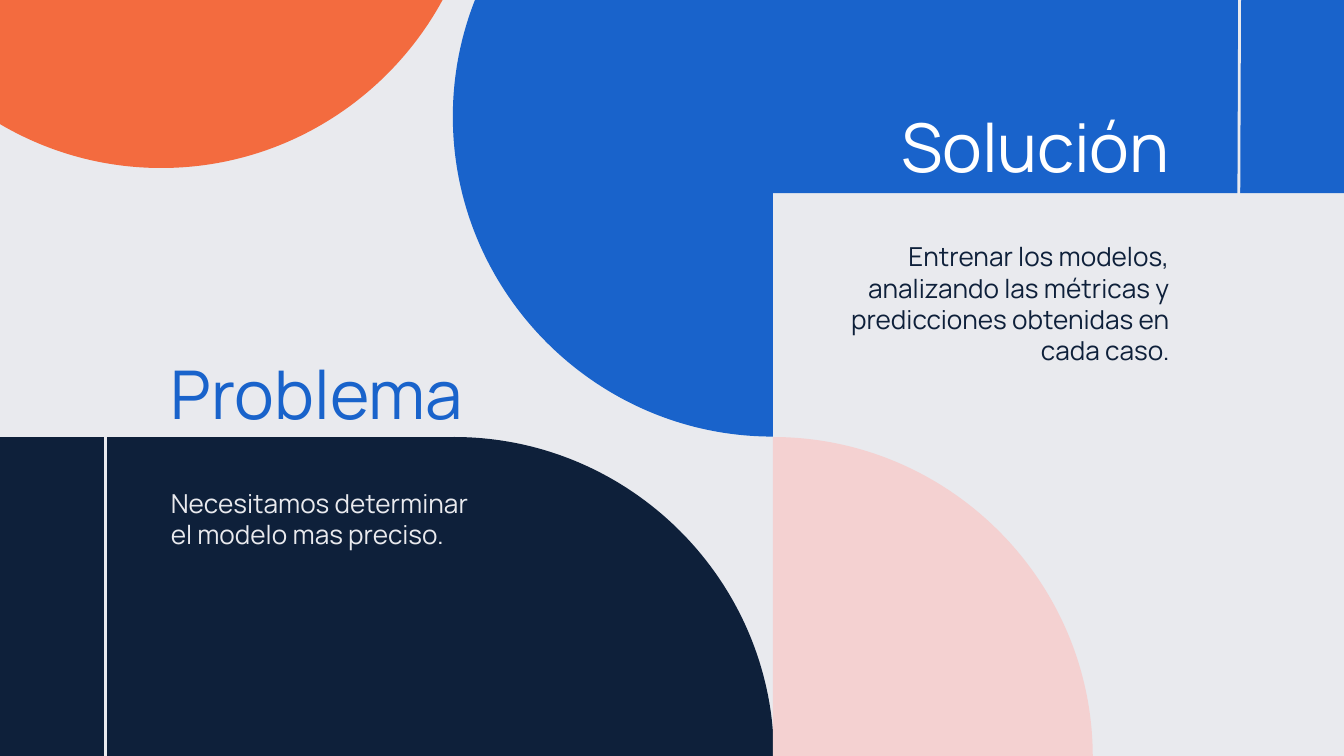
from dataclasses import dataclass
from math import cos, radians, sin

from lxml.etree import SubElement
from pptx import Presentation
from pptx.dml.color import RGBColor
from pptx.enum.shapes import MSO_CONNECTOR, MSO_SHAPE
from pptx.enum.text import MSO_ANCHOR, PP_ALIGN
from pptx.oxml.ns import qn
from pptx.shapes.base import BaseShape
from pptx.slide import Slide
from pptx.util import Pt

NAVY = "0E203A"
BLUE = "1963CB"
ORANGE = "F36B3F"
PINK = "F4D1D1"
GREY = "E9EAEE"
WHITE = "FFFFFF"
FONT = "Manrope"
RADIUS = 171.4
CURVE_RATIO = 0.55
TEXT_WIDTH = 186.6
LEFT_COLUMN = 84.4
RIGHT_COLUMN = 447
INSET = 7.2


@dataclass
class Block:
    left: float
    top: float
    width: float
    height: float
    color: str


@dataclass
class HalfDisc:
    center_x: float
    center_y: float
    start_angle: int
    color: str


@dataclass
class Label:
    text: str
    left: float
    top: float
    height: float
    size: float
    color: str
    alignment: PP_ALIGN


@dataclass
class Rule:
    start_x: float
    start_y: float
    end_x: float
    end_y: float


def rgb(color: str) -> RGBColor:
    return RGBColor.from_string(color)


def paint(shape: BaseShape, color: str) -> None:
    shape.shadow.inherit = False
    shape.fill.solid()
    shape.fill.fore_color.rgb = rgb(color)
    shape.line.fill.background()


def draw_block(slide: Slide, block: Block) -> None:
    shape = slide.shapes.add_shape(
        MSO_SHAPE.RECTANGLE,
        Pt(block.left), Pt(block.top), Pt(block.width), Pt(block.height),
    )
    paint(shape, block.color)


def round_corners(shape: BaseShape) -> None:
    path = next(shape._element.iter(qn("a:path")))
    points = [(int(p.get("x")), int(p.get("y"))) for p in path.iter(qn("a:pt"))]
    center = [(a + b) / 2 for a, b in zip(points[0], points[2])]
    lines = path.findall(qn("a:lnTo"))
    for line, start, end in zip(lines, points, points[1:]):
        leaving = [s + CURVE_RATIO * (e - c) for s, e, c in zip(start, end, center)]
        arriving = [e + CURVE_RATIO * (s - c) for s, e, c in zip(start, end, center)]
        curve = SubElement(path, qn("a:cubicBezTo"))
        for x, y in (leaving, arriving, end):
            SubElement(curve, qn("a:pt"), x=str(round(x)), y=str(round(y)))
        path.replace(line, curve)


def draw_half_disc(slide: Slide, disc: HalfDisc) -> None:
    angles = [radians(disc.start_angle + turn) for turn in (0, 90, 180)]
    points = [
        (
            Pt(disc.center_x + RADIUS * cos(angle)),
            Pt(disc.center_y + RADIUS * sin(angle)),
        )
        for angle in angles
    ]
    builder = slide.shapes.build_freeform(*points[0])
    builder.add_line_segments(points[1:], close=False)
    shape = builder.convert_to_shape()
    round_corners(shape)
    paint(shape, disc.color)


def draw_label(slide: Slide, label: Label) -> None:
    shape = slide.shapes.add_textbox(
        Pt(label.left), Pt(label.top), Pt(TEXT_WIDTH), Pt(label.height)
    )
    text_frame = shape.text_frame
    text_frame.word_wrap = True
    text_frame.vertical_anchor = MSO_ANCHOR.TOP
    text_frame.margin_left = text_frame.margin_right = Pt(INSET)
    text_frame.margin_top = text_frame.margin_bottom = Pt(INSET)
    text_frame.text = label.text
    paragraph = text_frame.paragraphs[0]
    paragraph.alignment = label.alignment
    font = paragraph.runs[0].font
    font.name = FONT
    font.size = Pt(label.size)
    font.color.rgb = rgb(label.color)


def draw_rule(slide: Slide, rule: Rule) -> None:
    connector = slide.shapes.add_connector(
        MSO_CONNECTOR.STRAIGHT,
        Pt(rule.start_x), Pt(rule.start_y), Pt(rule.end_x), Pt(rule.end_y),
    )
    connector.line.color.rgb = rgb(GREY)
    connector.line.width = Pt(1.5)
    SubElement(connector._element.spPr, qn("a:effectLst"))


BLOCKS = [
    Block(-0.7, 234.2, 247, 177, NAVY),
    Block(410.4, 0, 309.6, 103.5, BLUE),
]
HALF_DISCS = [
    HalfDisc(243.2, 405.5, -90, NAVY),
    HalfDisc(414, 405.5, -90, PINK),
    HalfDisc(414, 62.5, 90, BLUE),
    HalfDisc(86.4, -81.4, 0, ORANGE),
]
RULES = [
    Rule(664.1, 0, 663.4, 169.2),
    Rule(56.7, 175.7, 56.7, 411.1),
]
LABELS = [
    Label("Problema", LEFT_COLUMN, 181.4, 41, 36, BLUE, PP_ALIGN.LEFT),
    Label("Solución", RIGHT_COLUMN, 49.3, 41, 36, WHITE, PP_ALIGN.RIGHT),
    Label("Necesitamos determinar el modelo mas preciso.",
          LEFT_COLUMN, 253.8, 45.4, 14, GREY, PP_ALIGN.LEFT),
    Label("Entrenar los modelos, analizando las métricas y "
          "predicciones obtenidas en cada caso.",
          RIGHT_COLUMN, 121.7, 103.7, 14, NAVY, PP_ALIGN.RIGHT),
]


def main() -> None:
    presentation = Presentation()
    presentation.slide_width = Pt(720)
    presentation.slide_height = Pt(405)
    slide = presentation.slides.add_slide(presentation.slide_layouts[6])
    slide.background.fill.solid()
    slide.background.fill.fore_color.rgb = rgb(GREY)
    for block in BLOCKS:
        draw_block(slide, block)
    for disc in HALF_DISCS:
        draw_half_disc(slide, disc)
    for rule in RULES:
        draw_rule(slide, rule)
    for label in LABELS:
        draw_label(slide, label)
    presentation.save("out.pptx")


if __name__ == "__main__":
    main()
